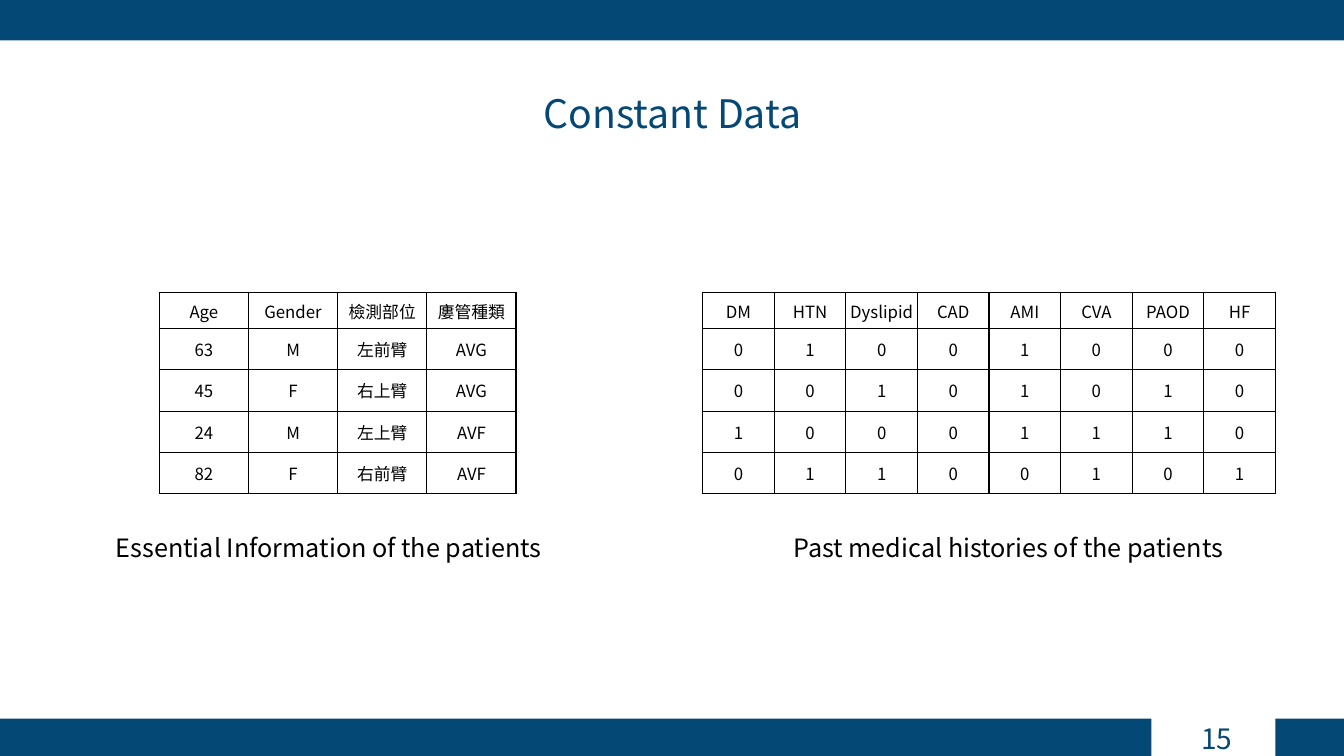
"""Build the Constant Data slide: two captioned patient tables."""
from lxml import etree
from pptx import Presentation
from pptx import util as u
from pptx.dml.color import RGBColor
from pptx.enum import shapes, text
from pptx.oxml.ns import qn

WIDE, HIGH = 13.33, 7.5
FONT, NAVY, BLACK = "Noto Sans CJK SC", "044875", "000000"
LEFT, MID, RIGHT = text.PP_ALIGN.LEFT, text.PP_ALIGN.CENTER, text.PP_ALIGN.RIGHT

TITLE = "Constant Data"
PAGE = "15"
BARS = [(0, -0.01, WIDE, 0.41), (12.65, 7.13, 0.68, 0.37), (0, 7.13, 11.42, 0.37)]
BASIC = [
    ("Age", "Gender", "檢測部位", "廔管種類"),
    ("63", "M", "左前臂", "AVG"),
    ("45", "F", "右上臂", "AVG"),
    ("24", "M", "左上臂", "AVF"),
    ("82", "F", "右前臂", "AVF"),
]
PAST = [
    ("DM", "HTN", "Dyslipid", "CAD", "AMI", "CVA", "PAOD", "HF"),
    tuple("01001000"),
    tuple("00101010"),
    tuple("10001110"),
    tuple("01100101"),
]
TABLES = [(BASIC, 1.58, 3.54), (PAST, 6.97, 5.68)]
NOTES = [
    ("Essential Information of the patients", 1.05, 4.97),
    ("Past medical histories of the patients", 7.77, 4.75),
]
TOP, HEAD, ROW = 2.9, 0.36, 0.41


def color(code):
    return RGBColor.from_string(code)


def box(*sides):
    return [u.Inches(side) for side in sides]


def write(frame, words, size, code, align):
    para = frame.paragraphs[0]
    para.alignment = align
    run = para.add_run()
    run.text = words
    font = run.font
    font.size, font.name, font.bold = u.Pt(size), FONT, False
    font.color.rgb = color(code)
    east = etree.Element(qn("a:ea"), typeface=FONT)
    run._r.rPr.find(qn("a:latin")).addnext(east)


def label(slide, place, words, size, code, align, anchor):
    frame = slide.shapes.add_textbox(*box(*place)).text_frame
    frame.word_wrap = True
    frame.vertical_anchor = anchor
    write(frame, words, size, code, align)


def border(cell):
    props = cell._tc.get_or_add_tcPr()
    for side in ("a:lnL", "a:lnR", "a:lnT", "a:lnB"):
        line = etree.SubElement(props, qn(side), w=str(u.Pt(1)))
        fill = etree.SubElement(line, qn("a:solidFill"))
        etree.SubElement(fill, qn("a:srgbClr"), val=BLACK)


def grid(slide, data, left, width):
    count = len(data[0])
    high = HEAD + ROW * (len(data) - 1)
    frame = slide.shapes.add_table(len(data), count, *box(left, TOP, width, high))
    table = frame.table
    table.first_row = table.horz_banding = False
    for col in table.columns:
        col.width = u.Inches(width / count)
    for r, words in enumerate(data):
        table.rows[r].height = u.Inches(ROW if r else HEAD)
        pads = (0.03, 0.02, 0.03, 0.02) if r else (0.01, 0.01, 0.01, 0)
        for c, word in enumerate(words):
            cell = table.cell(r, c)
            (cell.margin_left, cell.margin_top,
             cell.margin_right, cell.margin_bottom) = box(*pads)
            cell.vertical_anchor = text.MSO_ANCHOR.MIDDLE
            border(cell)
            cell.fill.background()
            write(cell.text_frame, word, 12, BLACK, MID)


def main():
    deck = Presentation()
    deck.slide_width, deck.slide_height = box(WIDE, HIGH)
    slide = deck.slides.add_slide(deck.slide_layouts[5])
    for place in BARS:
        bar = slide.shapes.add_shape(shapes.MSO_SHAPE.RECTANGLE, *box(*place))
        bar.shadow.inherit = False
        bar.fill.solid()
        bar.fill.fore_color.rgb = color(NAVY)
        bar.line.fill.background()
    label(slide, (9.32, 7.12, 3, 0.4), PAGE, 20, NAVY, RIGHT, text.MSO_ANCHOR.MIDDLE)
    title = slide.shapes.title
    title.left, title.top, title.width, title.height = box(2.45, 0.84, 8.44, 0.57)
    title.text_frame.vertical_anchor = text.MSO_ANCHOR.TOP
    write(title.text_frame, TITLE, 28, NAVY, MID)
    for data, left, width in TABLES:
        grid(slide, data, left, width)
    for words, left, width in NOTES:
        label(slide, (left, 5.23, width, 0.4), words, 18, BLACK, LEFT, text.MSO_ANCHOR.TOP)
    deck.save("out.pptx")


if __name__ == "__main__":
    main()
